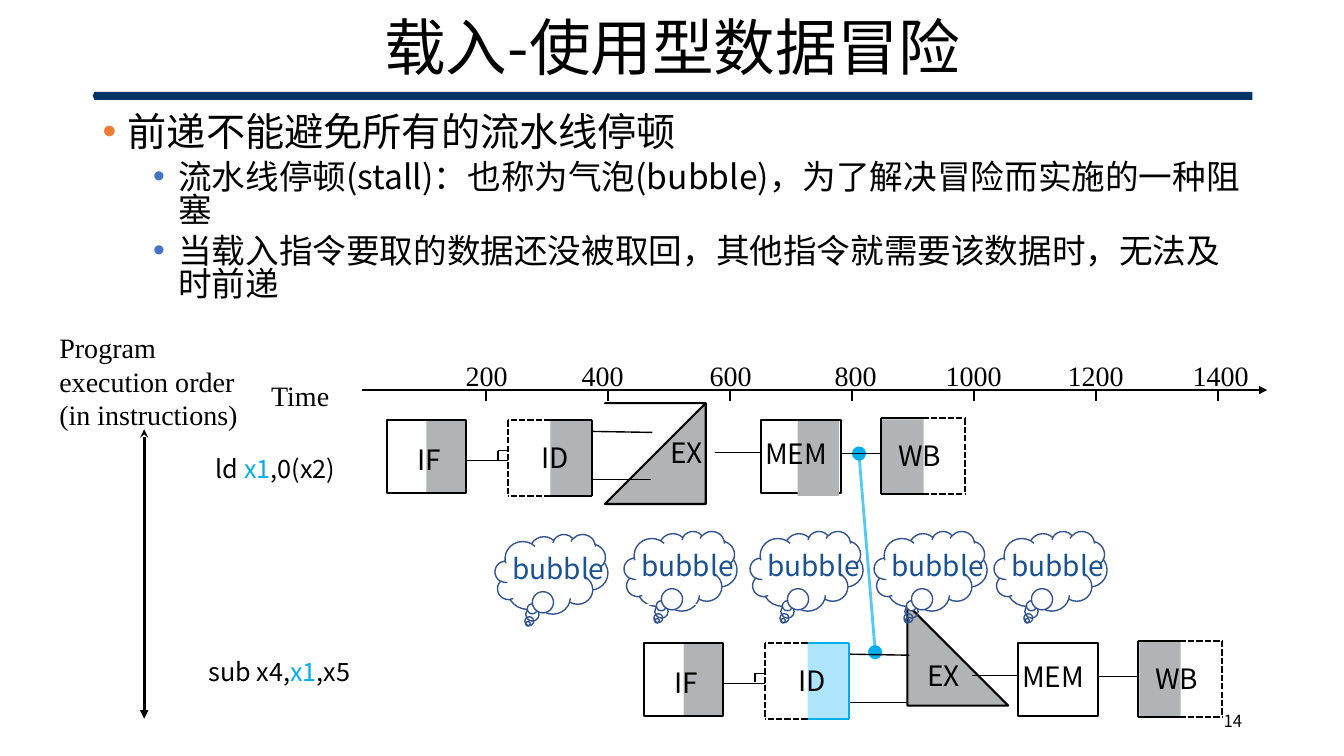
import pptx
import pptx.util
from lxml import etree
from pptx.dml.color import RGBColor
from pptx.enum.dml import MSO_LINE
from pptx.enum.shapes import MSO_CONNECTOR, MSO_SHAPE
from pptx.enum.text import MSO_ANCHOR, PP_ALIGN
from pptx.oxml.ns import qn
from pptx.util import Inches

BLACK = RGBColor(0x00, 0x00, 0x00)
WHITE = RGBColor(0xFF, 0xFF, 0xFF)
NAVY = RGBColor(0x00, 0x33, 0x66)
GRAY = RGBColor(0xB2, 0xB3, 0xB6)
CYAN = RGBColor(0x00, 0xAE, 0xEF)
SKY = RGBColor(0x54, 0xC9, 0xF5)
PALE = RGBColor(0xAE, 0xE5, 0xFA)
CLOUD = RGBColor(0x32, 0x54, 0x91)
BUBBLE = RGBColor(0x1B, 0x51, 0x96)
ORANGE = RGBColor(0xED, 0x7D, 0x31)
BLUE = RGBColor(0x44, 0x72, 0xC4)
SANS = "Noto Sans CJK SC"
SERIF = "Times New Roman"


class SlideBuilder:
    def __init__(self, slide):
        self.slide = slide
        self.shapes = slide.shapes

    def style(self, paragraph, size, color=BLACK, font=SANS):
        paragraph.font.size = pptx.util.Pt(size)
        paragraph.font.name = font
        if color is not None:
            paragraph.font.color.rgb = color
        east_asian = etree.SubElement(paragraph.font._element, qn("a:ea"))
        east_asian.set("typeface", font)

    def title(self, text, left, top, width, height):
        title = self.shapes.title
        title.left, title.top = Inches(left), Inches(top)
        title.width, title.height = Inches(width), Inches(height)
        title.text_frame.text = text
        title.text_frame.vertical_anchor = MSO_ANCHOR.MIDDLE
        paragraph = title.text_frame.paragraphs[0]
        paragraph.alignment = PP_ALIGN.CENTER
        paragraph.line_spacing = 0.9
        self.style(paragraph, 44)

    def text(self, lines, left, top, width, height, size=20, color=BLACK, font=SANS):
        box = self.shapes.add_textbox(Inches(left), Inches(top), Inches(width), Inches(height))
        frame = box.text_frame
        frame.word_wrap = True
        frame.text = lines
        for paragraph in frame.paragraphs:
            self.style(paragraph, size, color, font)
        return frame

    def instruction(self, parts, left, top):
        """Write one instruction; parts are (text, color) pairs."""
        paragraph = self.text("", left, top, 1.71, 0.4, 18, None).paragraphs[0]
        for part, color in parts:
            run = paragraph.add_run()
            run.text = part
            run.font.color.rgb = color

    def bullets(self, items, left, top, width, height):
        """Write (text, level, size, bullet color) items as a bulleted list."""
        box = self.shapes.add_textbox(Inches(left), Inches(top), Inches(width), Inches(height))
        frame = box.text_frame
        frame.word_wrap = True
        for index, (text, level, size, color) in enumerate(items):
            paragraph = frame.add_paragraph() if index else frame.paragraphs[0]
            paragraph.text = text
            paragraph.level = level
            paragraph.line_spacing = 0.82
            if index:
                paragraph.space_before = pptx.util.Pt(6)
            properties = paragraph._p.get_or_add_pPr()
            properties.set("marL", str(Inches(0.25 + 0.5 * level)))
            properties.set("indent", str(Inches(-0.25)))
            bullet_color = etree.SubElement(properties, qn("a:buClr"))
            etree.SubElement(bullet_color, qn("a:srgbClr")).set("val", str(color))
            etree.SubElement(properties, qn("a:buFont")).set("typeface", "Arial")
            etree.SubElement(properties, qn("a:buChar")).set("char", "•")
            self.style(paragraph, size)

    def paint(self, shape, fill, line, weight):
        shape.shadow.inherit = False
        if fill is None:
            shape.fill.background()
        else:
            shape.fill.solid()
            shape.fill.fore_color.rgb = fill
        if line is None:
            shape.line.fill.background()
        else:
            shape.line.color.rgb = line
            shape.line.width = pptx.util.Pt(weight)
        return shape

    def shape(self, kind, left, top, width, height, fill=None, line=None, weight=1):
        shape = self.shapes.add_shape(kind, Inches(left), Inches(top), Inches(width), Inches(height))
        return self.paint(shape, fill, line, weight)

    def polygon(self, points, left, top, fill, line, weight):
        """Draw a closed outline whose points are relative to left and top."""
        points = [(left + x, top + y) for x, y in points]
        builder = self.shapes.build_freeform(*points[0], scale=Inches(1))
        builder.add_line_segments(points[1:], close=True)
        self.paint(builder.convert_to_shape(), fill, line, weight)

    def line(self, x1, y1, x2, y2, weight=1, color=BLACK, dashed=False, head=None, tail=None):
        line = self.shapes.add_connector(
            MSO_CONNECTOR.STRAIGHT, Inches(x1), Inches(y1), Inches(x2), Inches(y2))
        line.line.color.rgb = color
        line.line.width = pptx.util.Pt(weight)
        if dashed:
            line.line.dash_style = MSO_LINE.SQUARE_DOT
        for tag, end in (("a:headEnd", head), ("a:tailEnd", tail)):
            if end:
                etree.SubElement(line.line._get_or_add_ln(), qn(tag)).set("type", end)
        etree.SubElement(line._element.spPr, qn("a:effectLst"))

    def half_frame(self, middle, outer, top, color=BLACK, dashed=False):
        """Draw the three outer sides of one half of a stage box."""
        bottom = top + 0.75
        weight = 1.5 if dashed else 1.25
        for start, end in (((middle, top), (outer, top)),
                           ((middle, bottom), (outer, bottom)),
                           ((outer, top), (outer, bottom))):
            self.line(*start, *end, weight, color, dashed)

    def pipeline(self, x, y, id_fill=GRAY, id_line=BLACK, mem_reads=False):
        """Draw the five stages with the IF box's corner at x, y."""
        box = MSO_SHAPE.RECTANGLE
        self.shape(box, x + 4.91, y - 0.01, 0.41, 0.75, GRAY)
        self.shape(box, x + 1.62, y, 0.41, 0.75, id_fill)
        self.shape(box, x + 0.39, y, 0.4, 0.72, GRAY)
        self.polygon(ALU, x + 2.63, y - 0.14, GRAY, BLACK, 1.5)
        self.shape(box, x + 3.71, y, 0.79, 0.72, WHITE, BLACK, 1.5)
        for x1, y1, x2, y2 in WIRES:
            self.line(x + x1, y + y1, x + x2, y + y2)
        self.shape(box, x, y, 0.78, 0.72, None, BLACK, 1.5)
        self.half_frame(x + 1.62, x + 1.2, y, dashed=True)
        self.half_frame(x + 1.62, x + 2.03, y, id_line)
        self.half_frame(x + 5.31, x + 5.73, y - 0.02, dashed=True)
        self.half_frame(x + 5.31, x + 4.9, y - 0.02)
        if mem_reads:
            self.shape(box, x + 4.07, y, 0.41, 0.75, GRAY)
            self.line(x + 4.07, y, x + 4.49, y, 1.25)
        for stage, dx, dy, width in STAGES:
            self.text(stage, x + dx, y + dy, width, 0.47)

    def bubble(self, x, y):
        self.shape(MSO_SHAPE.CLOUD_CALLOUT, x, y, 1.12, 0.79, None, CLOUD)
        self.polygon(TAIL_COVER, x + 0.26, y + 0.76, WHITE, WHITE, 1)
        self.shape(MSO_SHAPE.OVAL, x + 0.32, y + 0.69, 0.1, 0.1, WHITE, CLOUD)
        self.shape(MSO_SHAPE.OVAL, x + 0.37, y + 0.57, 0.21, 0.21, WHITE, CLOUD)
        self.text("bubble", x + 0.07, y + 0.12, 1.12, 0.45, color=BUBBLE)


ALU = [(0.01, 0), (0, 0.41), (0.17, 0.46), (0, 0.58), (0, 0.96), (0.62, 0.69), (0.63, 0.27)]
TAIL_COVER = [(0.04, 0.02), (0.1, 0), (0.18, 0.01), (0.21, 0.06), (0.18, 0.18),
              (0.08, 0.21), (0.01, 0.2), (0, 0.14)]
WIRES = [(0.79, 0.4, 1.2, 0.4), (2.04, 0.11, 2.63, 0.12), (2.04, 0.59, 2.62, 0.59),
         (3.25, 0.32, 3.72, 0.32), (4.51, 0.33, 4.9, 0.33),
         (1.1, 0.3, 1.1, 0.39), (1.1, 0.3, 1.2, 0.3)]
STAGES = [("IF", 0.2, 0.17, 0.49), ("ID", 1.43, 0.15, 0.54), ("EX", 2.71, 0.1, 0.66),
          ("MEM", 3.65, 0.11, 0.93), ("WB", 4.97, 0.13, 0.78)]
TIME_LABEL_LEFTS = [4.52, 5.67, 6.94, 8.18, 9.28, 10.49, 11.73]
BUBBLES = [(4.91, 5.3), (6.19, 5.27), (7.44, 5.27), (8.67, 5.27), (9.86, 5.27)]


def main():
    deck = pptx.Presentation()
    deck.slide_width, deck.slide_height = Inches(13.33), Inches(7.5)
    hazard = SlideBuilder(deck.slides.add_slide(deck.slide_layouts[5]))

    rule = hazard.shape(MSO_SHAPE.PENTAGON, 0.92, 0.91, 11.5, 0.08, NAVY)
    rule.adjustments[0] = 0.2
    rule.rotation = 180
    hazard.title("载入-使用型数据冒险", 0.92, 0.17, 11.5, 0.66)
    hazard.bullets([
        ("前递不能避免所有的流水线停顿", 0, 28, ORANGE),
        ("流水线停顿(stall)：也称为气泡(bubble)，为了解决冒险而实施的一种阻塞", 1, 24, BLUE),
        ("当载入指令要取的数据还没被取回，其他指令就需要该数据时，无法及时前递", 1, 24, BLUE),
    ], 0.92, 1.1, 11.5, 5.76)
    page = hazard.text("14", 9.42, 6.95, 3, 0.4, 12)
    page.vertical_anchor = MSO_ANCHOR.MIDDLE
    page.paragraphs[0].alignment = PP_ALIGN.RIGHT

    hazard.line(1.43, 4.26, 1.43, 7.13, 2, head="stealth", tail="triangle")
    hazard.text("Program execution order\n(in instructions)", 0.49, 3.23, 2.24, 1.11, font=SERIF)
    hazard.instruction([("ld ", BLACK), ("x1", CYAN), (",0(x2)", BLACK)], 2.04, 4.45)
    hazard.instruction([("sub x4,", BLACK), ("x1", CYAN), (",x5", BLACK)], 1.97, 6.46)

    hazard.line(3.59, 3.87, 12.57, 3.87, 1.25, tail="triangle")
    hazard.text("Time", 2.59, 3.71, 1.04, 0.44, font=SERIF)
    for index, label_left in enumerate(TIME_LABEL_LEFTS):
        tick = 4.82 + 1.21 * index
        hazard.line(tick, 3.87, tick, 3.98, 1.25)
        hazard.text(str(200 * (index + 1)), label_left, 3.51, 0.86, 0.44, font=SERIF)

    hazard.line(8.52, 4.51, 8.68, 6.46, 2, SKY)
    for left, top in ((8.45, 4.43), (8.61, 6.4)):
        hazard.shape(MSO_SHAPE.OVAL, left, top, 0.14, 0.14, CYAN)
    hazard.pipeline(6.39, 6.38, id_fill=PALE, id_line=CYAN)
    hazard.pipeline(3.84, 4.17, mem_reads=True)
    for left, top in BUBBLES:
        hazard.bubble(left, top)
    deck.save("out.pptx")


if __name__ == "__main__":
    main()
